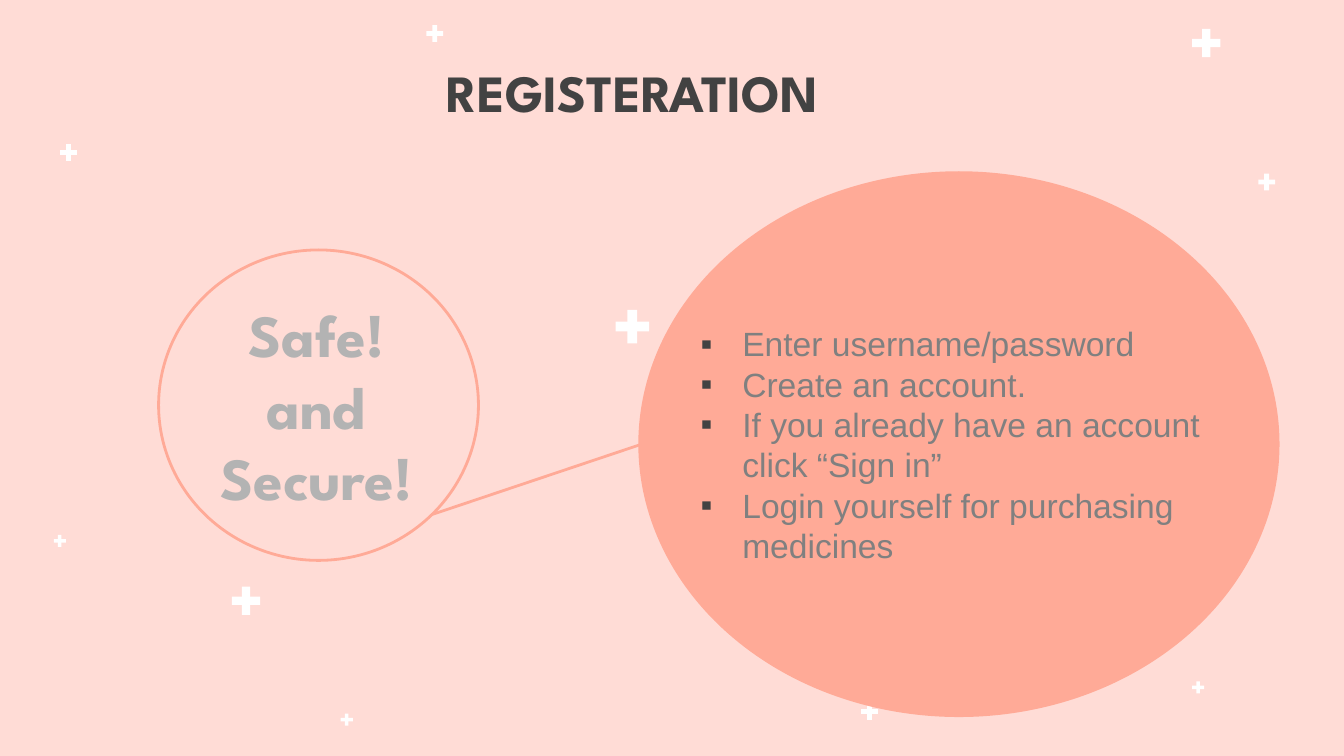
from lxml.etree import SubElement
from pptx import Presentation
from pptx.dml.color import RGBColor
from pptx.enum.shapes import MSO_CONNECTOR, MSO_SHAPE
from pptx.enum.text import MSO_ANCHOR, PP_ALIGN
from pptx.oxml.ns import qn
from pptx.util import Inches, Pt

WHITE, PALE, CORAL = "FFFFFF", "FFDCD6", "FFAA97"
DARK, SILVER, GRAY = "424242", "B3B3B3", "808080"
HEADING, BODY = "League Spartan", "Arial"


def color(code):
    return RGBColor.from_string(code)


class Canvas:
    cell = Inches(0.1)
    columns, rows = 100, 56.25
    line_width = Pt(1.5)
    inset = Inches(0.1)
    indent = Inches(0.31)
    bar_share = 0.29

    def __init__(self, deck, background):
        deck.slide_width = self.units(self.columns)
        deck.slide_height = self.units(self.rows)
        self.page = deck.slides.add_slide(deck.slide_layouts[6])
        fill = self.page.background.fill
        fill.solid()
        fill.fore_color.rgb = color(background)

    def units(self, count):
        return round(count * self.cell)

    def place(self, area):
        return [self.units(value) for value in area]

    def outline(self, item, code):
        item.line.color.rgb = color(code)
        item.line.width = self.line_width

    def shape(self, kind, area, fill=None, line=None):
        shape = self.page.shapes.add_shape(kind, *self.place(area))
        shape.shadow.inherit = False
        if fill:
            shape.fill.solid()
            shape.fill.fore_color.rgb = color(fill)
        else:
            shape.fill.background()
        if line:
            self.outline(shape, line)
        else:
            shape.line.fill.background()

    def plus(self, center_x, center_y, size):
        thin = size * self.bar_share
        for width, height in ((thin, size), (size, thin)):
            area = (center_x - width / 2, center_y - height / 2, width, height)
            self.shape(MSO_SHAPE.RECTANGLE, area, WHITE)

    def connector(self, start, end, code):
        line = self.page.shapes.add_connector(
            MSO_CONNECTOR.STRAIGHT, *self.place(start + end))
        self.outline(line, code)
        SubElement(line._element.spPr, qn("a:effectLst"))

    def bullet(self, para, code):
        properties = para._p.get_or_add_pPr()
        properties.set("marL", str(self.indent))
        properties.set("indent", str(-self.indent))
        tint = SubElement(properties, qn("a:buClr"))
        SubElement(tint, qn("a:srgbClr"), val=code)
        SubElement(properties, qn("a:buFont"), typeface=BODY)
        SubElement(properties, qn("a:buChar"), char="▪")

    def text(self, area, paragraphs, font, code, anchor=MSO_ANCHOR.MIDDLE,
             bullet=None, **layout):
        box = self.page.shapes.add_textbox(*self.place(area))
        frame = box.text_frame
        settings = {"word_wrap": True, "vertical_anchor": anchor}
        for side in ("left", "right", "top", "bottom"):
            settings[f"margin_{side}"] = self.inset
        for name, value in settings.items():
            setattr(frame, name, value)
        frame.text = "\n".join(paragraphs)
        for para in frame.paragraphs:
            for name, value in layout.items():
                setattr(para, name, value)
            if bullet:
                self.bullet(para, bullet)
            for span in para.runs:
                for name, value in font.items():
                    setattr(span.font, name, value)
                span.font.color.rgb = color(code)


def main():
    deck = Presentation()
    canvas = Canvas(deck, PALE)

    pluses = {
        0.9: [(25.8, 53.55), (4.45, 40.25), (89.15, 51.15)],
        1.25: [(64.7, 52.95), (5.1, 11.35), (32.35, 2.5), (94.25, 13.55)],
        2.1: [(18.3, 44.7), (89.75, 3.2)],
    }
    for size, centers in pluses.items():
        for center in centers:
            canvas.plus(*center, size)

    canvas.text((4.9, 3.5, 84.3, 6.3), ["REGISTERATION"],
                {"name": HEADING, "size": Pt(28), "bold": True}, DARK,
                MSO_ANCHOR.TOP, alignment=PP_ALIGN.CENTER)
    canvas.shape(MSO_SHAPE.OVAL, (47.6, 12.85, 47.5, 40.4), CORAL, CORAL)
    canvas.shape(MSO_SHAPE.OVAL, (11.8, 18.6, 23.8, 23.1), line=CORAL)
    canvas.text((2.2, 20.25, 42.7, 19.8), ["Safe!\vand\vSecure!"],
                {"name": HEADING, "size": Pt(32), "bold": True}, SILVER,
                alignment=PP_ALIGN.CENTER)
    steps = [
        "Enter username/password",
        "Create an account.",
        "If you already have an account click “Sign in”",
        "Login yourself for purchasing medicines",
    ]
    canvas.text((51.15, 23.3, 43.9, 19.5), steps,
                {"name": BODY, "size": Pt(18)}, GRAY, bullet=DARK,
                line_spacing=1.0)
    canvas.connector((32.1, 38.3), (47.6, 33.1), CORAL)
    canvas.plus(47.05, 24.3, 2.5)

    deck.save("out.pptx")


if __name__ == "__main__":
    main()
